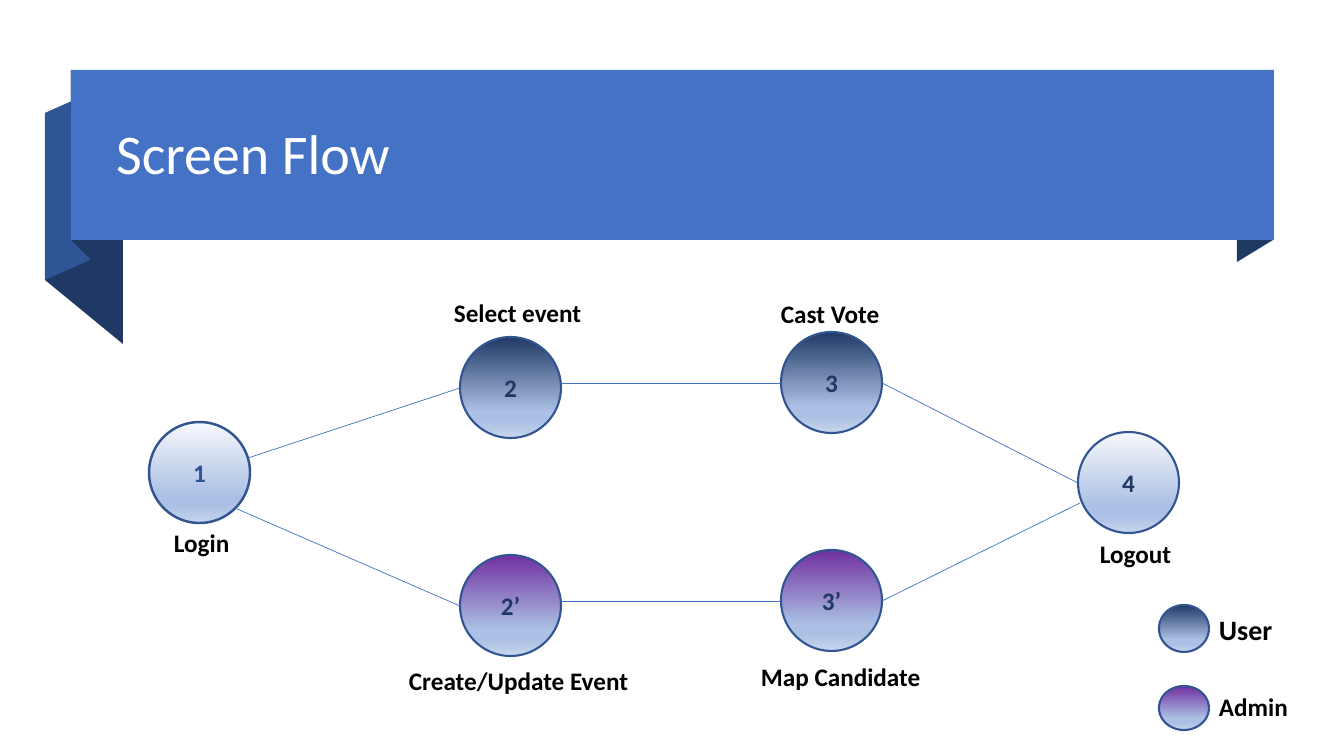
"""Build the Screen Flow slide: a ribbon banner above a numbered flow with user and admin paths."""
from dataclasses import dataclass

from lxml import etree
from pptx import Presentation
from pptx.dml.color import RGBColor
from pptx.enum.shapes import MSO_CONNECTOR, MSO_SHAPE
from pptx.enum.text import MSO_ANCHOR, MSO_AUTO_SIZE, PP_ALIGN
from pptx.oxml.ns import qn
from pptx.util import Pt

OVAL, RECT, STRAIGHT = MSO_SHAPE.OVAL, MSO_SHAPE.RECTANGLE, MSO_CONNECTOR.STRAIGHT
MIDDLE, LEFT, CENTER = MSO_ANCHOR.MIDDLE, PP_ALIGN.LEFT, PP_ALIGN.CENTER
NO_FIT, FIT_SHAPE = MSO_AUTO_SIZE.NONE, MSO_AUTO_SIZE.SHAPE_TO_FIT_TEXT


@dataclass(frozen=True)
class Theme:
    """Colours, font and sizes of the slide."""
    font: str = "Calibri"
    white: str = "FFFFFF"
    black: str = "000000"
    blue: str = "4472C4"
    fold: str = "2F5597"
    navy: str = "203864"
    purple: str = "7030A0"
    pale: str = "F6F8FC"
    mid: str = "ABC0E4"
    low: str = "C7D5ED"
    rim: str = "325491"
    title_size: int = 40
    text_size: int = 18
    user_size: int = 20
    rim_width: float = 1.5
    login_rim_width: float = 1.75
    link_width: float = 0.5


THEME = Theme()
EMU_PER_PX = 914400 / 100.8
SLIDE_SIZE = (1344, 756)
NODE = 101

TITLE, TITLE_BOX = "Screen Flow", (106, 89, 1132, 134)
BANNER = (71, 70, 1203, 170)
RIBBON_FOLDS = [
    (THEME.navy, [(123, 344), (45, 280), (45, 113), (123, 176)]),
    (THEME.fold, [(90, 260), (45, 280), (45, 113), (90, 93)]),
    (THEME.navy, [(90, 259), (71, 240), (71, 71), (90, 90)]),
    (THEME.navy, [(1273, 240), (1237, 262), (1237, 92), (1273, 71)]),
]
SCREENS = [
    ("1", (149, 422), THEME.pale, THEME.fold, THEME.login_rim_width),
    ("2", (460, 337), THEME.navy, THEME.navy, THEME.rim_width),
    ("3", (781, 332), THEME.navy, THEME.navy, THEME.rim_width),
    ("4", (1078, 432), THEME.pale, THEME.navy, THEME.rim_width),
    ("2’", (460, 555), THEME.purple, THEME.navy, THEME.rim_width),
    ("3’", (781, 550), THEME.purple, THEME.navy, THEME.rim_width),
]
LINKS = [
    ((248, 458), (460, 388)),
    ((561, 383), (781, 383)),
    ((882, 383), (1078, 483)),
    ((235, 508), (460, 606)),
    ((561, 601), (781, 601)),
    ((882, 601), (1080, 503)),
]
LEGEND = [(THEME.navy, (1159, 605, 50, 47)), (THEME.purple, (1159, 686, 50, 44))]
LABELS = [
    ("Login", (164, 522, 76, 40), THEME.text_size),
    ("Select event", (444, 292, 148, 40), THEME.text_size),
    ("Cast Vote", (771, 293, 120, 40), THEME.text_size),
    ("Logout", (1090, 533, 92, 40), THEME.text_size),
    ("Create/Update Event", (399, 660, 241, 40), THEME.text_size),
    ("Map Candidate", (751, 656, 181, 40), THEME.text_size),
    ("User", (1209, 608, 75, 44), THEME.user_size),
    ("Admin", (1209, 686, 109, 40), THEME.text_size),
]


def px(*lengths):
    return [round(length * EMU_PER_PX) for length in lengths]


def rgb(colour):
    return RGBColor.from_string(colour)


def write(frame, text, size, colour, bold=True, align=LEFT):
    frame.text = text
    line = frame.paragraphs[0]
    line.alignment = align
    font = line.runs[0].font
    font.name, font.size, font.bold = THEME.font, Pt(size), bold
    font.color.rgb = rgb(colour)
    return line


def paint(shape, colour):
    shape.shadow.inherit = False
    shape.fill.solid()
    shape.fill.fore_color.rgb = rgb(colour)
    shape.line.fill.background()


def add_ball(shapes, box, top_colour, rim_width=THEME.rim_width):
    ball = shapes.add_shape(OVAL, *px(*box))
    ball.shadow.inherit = False
    ball.line.color.rgb = rgb(THEME.rim)
    ball.line.width = Pt(rim_width)
    ball.fill.gradient()
    ball.fill.gradient_angle = 270
    stops = ball._element.spPr.find(f"{qn('a:gradFill')}/{qn('a:gsLst')}")
    for stop in list(stops):
        stops.remove(stop)
    for percent, colour in [(0, top_colour), (74, THEME.mid), (83, THEME.mid), (100, THEME.low)]:
        stop = etree.SubElement(stops, qn("a:gs"), pos=str(percent * 1000))
        etree.SubElement(stop, qn("a:srgbClr"), val=colour)
    return ball


def add_ribbon(shapes):
    for colour, (start, *corners) in RIBBON_FOLDS:
        outline = shapes.build_freeform(*start, scale=EMU_PER_PX)
        outline.add_line_segments(corners)
        paint(outline.convert_to_shape(), colour)
    paint(shapes.add_shape(RECT, *px(*BANNER)), THEME.blue)


def add_title(shapes):
    title = shapes.title
    shapes._spTree.append(title._element)
    title.left, title.top, title.width, title.height = px(*TITLE_BOX)
    frame = title.text_frame
    frame.auto_size, frame.vertical_anchor = NO_FIT, MIDDLE
    write(frame, TITLE, THEME.title_size, THEME.white, bold=False).line_spacing = 0.9


def add_flow(shapes):
    for number, corner, top_colour, number_colour, rim_width in SCREENS:
        frame = add_ball(shapes, (*corner, NODE, NODE), top_colour, rim_width).text_frame
        frame.vertical_anchor = MIDDLE
        write(frame, number, THEME.text_size, number_colour, align=CENTER)
    for start, end in LINKS:
        link = shapes.add_connector(STRAIGHT, *px(*start, *end))
        link.line.color.rgb = rgb(THEME.blue)
        link.line.width = Pt(THEME.link_width)
        etree.SubElement(link._element.spPr, qn("a:effectLst"))


def add_labels(shapes):
    for top_colour, box in LEGEND:
        add_ball(shapes, box, top_colour)
    for text, box, size in LABELS:
        frame = shapes.add_textbox(*px(*box)).text_frame
        frame.word_wrap, frame.auto_size = False, FIT_SHAPE
        write(frame, text, size, THEME.black)


deck = Presentation()
deck.slide_width, deck.slide_height = px(*SLIDE_SIZE)
slide = deck.slides.add_slide(deck.slide_layouts.get_by_name("Title Only"))
for add_part in (add_ribbon, add_title, add_flow, add_labels):
    add_part(slide.shapes)
deck.save("out.pptx")
